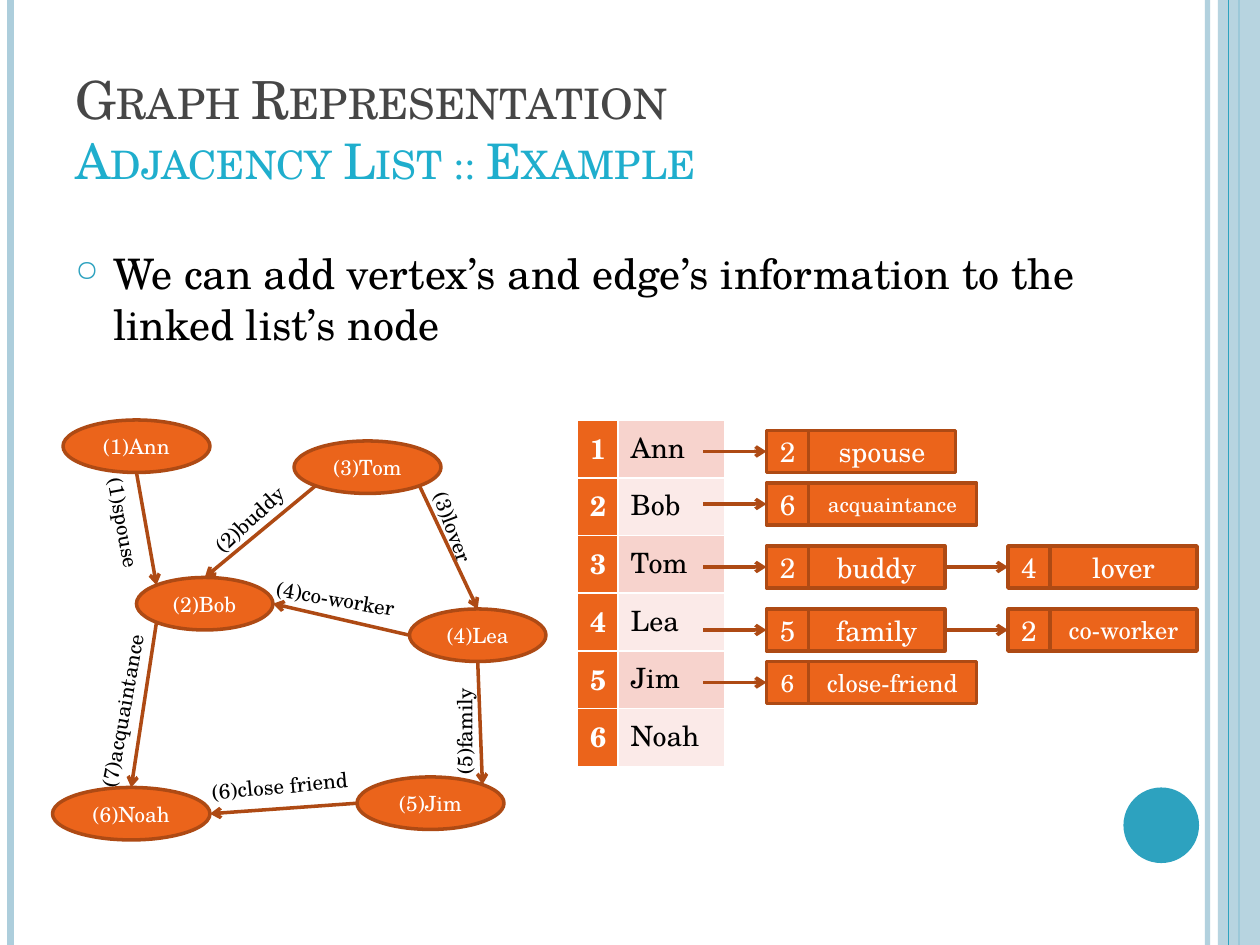
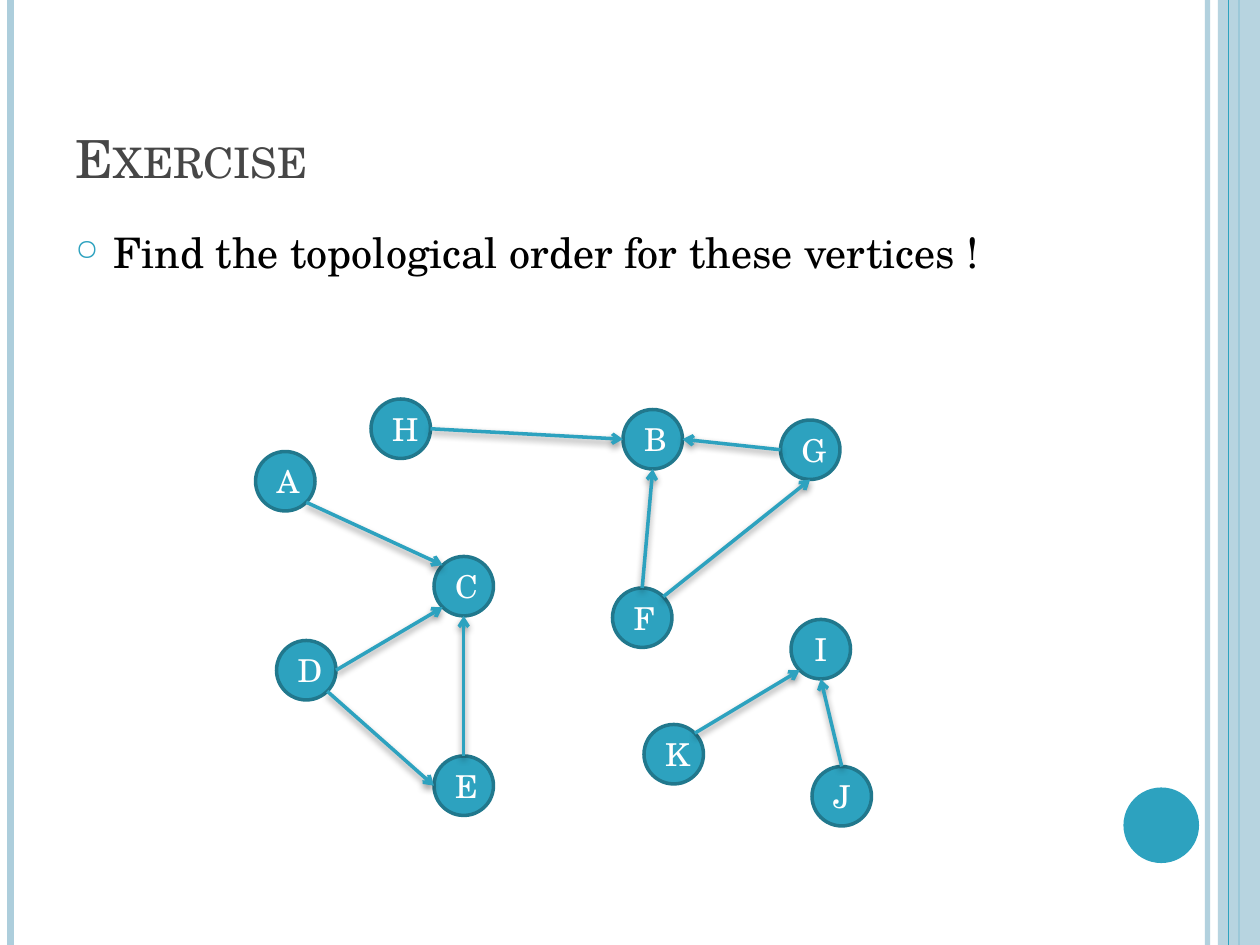
from math import cos, radians, sin

from lxml import etree
from pptx import Presentation
from pptx.dml.color import RGBColor
from pptx.enum.shapes import MSO_CONNECTOR, MSO_SHAPE
from pptx.enum.text import MSO_ANCHOR, MSO_AUTO_SIZE, PP_ALIGN
from pptx.oxml.ns import qn
from pptx.util import Pt

LINE = MSO_CONNECTOR.STRAIGHT
OVAL, RECT = MSO_SHAPE.OVAL, MSO_SHAPE.RECTANGLE
MIDDLE, BOTTOM = MSO_ANCHOR.MIDDLE, MSO_ANCHOR.BOTTOM
CENTER, LEFT = PP_ALIGN.CENTER, PP_ALIGN.LEFT
FIT, NO_FIT = MSO_AUTO_SIZE.SHAPE_TO_FIT_TEXT, MSO_AUTO_SIZE.NONE

FONT = "TeX Gyre Schola"
BLACK = RGBColor(0x00, 0x00, 0x00)
WHITE = RGBColor(0xFF, 0xFF, 0xFF)
GRAY = RGBColor(0x46, 0x46, 0x46)
CYAN = RGBColor(0x1F, 0xAE, 0xCD)
TEAL = RGBColor(0x2D, 0xA2, 0xBF)
DARK_TEAL = RGBColor(0x21, 0x78, 0x8D)
PALE_BLUE = RGBColor(0xAD, 0xCE, 0xDC)
ORANGE = RGBColor(0xEB, 0x64, 0x1B)
RUST = RGBColor(0xAE, 0x4A, 0x14)
PINK = RGBColor(0xF7, 0xD3, 0xCD)
PALE_PINK = RGBColor(0xFB, 0xEA, 0xE8)

SITE_ANGLES = {"r": 0, "br": 45, "b": 90, "bl": 135, "l": 180, "tl": 225, "t": 270, "tr": 315}


def sub(parent, tag, **attrs):
    return etree.SubElement(parent, qn(tag), **attrs)


def set_alpha(element, percent):
    color = next(element.iter(qn("a:srgbClr")))
    sub(color, "a:alpha", val=str(percent * 1000))


def site(box, name):
    x, y, w, h = box
    angle = radians(SITE_ANGLES[name])
    return x + w / 2 * (1 + cos(angle)), y + h / 2 * (1 + sin(angle))


class Deck:
    """Holds the presentation, its style and the current slide."""

    def __init__(self):
        self.prs = Presentation()
        self.prs.slide_width, self.prs.slide_height = Pt(720), Pt(540)

    def new_slide(self, *title_lines):
        self.s = self.prs.slides.add_slide(self.prs.slide_layouts[5])
        self.frame()
        self.title(*title_lines)

    def frame(self):
        edge = self.line((690, 0), (690, 540), PALE_BLUE, 3)
        set_alpha(edge.line._ln, 93)
        self.line((6, 0), (6, 540), PALE_BLUE, 4.5)
        self.line((708, 0), (708, 540), TEAL, 1.5)
        band = self.shape(RECT, (696, 0, 24, 540), PALE_BLUE)
        set_alpha(band.fill._xPr, 87)
        self.line((702, 0), (702, 540), TEAL, 0.75)
        self.shape(OVAL, (642, 450, 43.2, 43.2), TEAL)

    def style(self, r, size, color, bold=False):
        r.font.name, r.font.size, r.font.bold = FONT, Pt(size), bold
        r.font.color.rgb = color

    def title(self, *lines):
        sp = self.s.shapes.title
        sp.left, sp.top, sp.width, sp.height = Pt(36), Pt(21.6), Pt(588), Pt(90)
        tf = sp.text_frame
        tf.text = "\v".join(lines)
        tf.auto_size, tf.vertical_anchor = NO_FIT, BOTTOM
        p = tf.paragraphs[0]
        p.alignment = LEFT
        for r, (size, color) in zip(p.runs, ((30, GRAY), (28, CYAN))):
            self.style(r, size, color)
            r._r.get_or_add_rPr().set("cap", "small")

    def text(self, box, text, size):
        sp = self.s.shapes.add_textbox(*map(Pt, box))
        tf = sp.text_frame
        tf.text = text
        self.style(tf.paragraphs[0].runs[0], size, BLACK)
        return sp

    def bullet(self, box, text):
        tf = self.text(box, text, 24).text_frame
        tf.word_wrap = True
        p = tf.paragraphs[0]
        p.space_before = Pt(6)
        pPr = p._p.get_or_add_pPr()
        pPr.set("marL", str(Pt(21.6)))
        pPr.set("indent", str(-Pt(21.6)))
        sub(sub(pPr, "a:buClr"), "a:srgbClr", val=str(TEAL))
        sub(pPr, "a:buSzPct", val="70000")
        sub(pPr, "a:buChar", char="○")

    def label(self, x, y, w, angle, text):
        sp = self.text((x, y, w, 21.8), text, 12)
        sp.text_frame.word_wrap, sp.text_frame.auto_size = False, FIT
        sp.rotation = angle

    def shape(self, kind, box, fill, outline=None, text="", size=12):
        sp = self.s.shapes.add_shape(kind, *map(Pt, box))
        sp.shadow.inherit = False
        sp.fill.solid()
        sp.fill.fore_color.rgb = fill
        if outline is None:
            sp.line.fill.background()
        else:
            sp.line.color.rgb, sp.line.width = outline, Pt(2)
        if text:
            tf = sp.text_frame
            tf.text, tf.vertical_anchor = text, MIDDLE
            tf.paragraphs[0].alignment = CENTER
            self.style(tf.paragraphs[0].runs[0], size, WHITE)
        return sp

    def line(self, start, end, color, width, arrow=False, shadow=False):
        c = self.s.shapes.add_connector(LINE, *map(Pt, (*start, *end)))
        c.line.color.rgb, c.line.width = color, Pt(width)
        if arrow:
            sub(c.line._ln, "a:tailEnd", type="arrow")
        effects = sub(c._element.spPr, "a:effectLst")
        if shadow:
            outer = sub(effects, "a:outerShdw", blurRad=str(Pt(4)), dist=str(Pt(2)),
                        dir="5400000", rotWithShape="0")
            sub(outer, "a:srgbClr", val=str(BLACK))
            set_alpha(outer, 40)
        return c

    def graph(self, nodes, edges, fill, outline, arrow, size, shadow=False):
        for text, box in nodes.items():
            self.shape(OVAL, box, fill, outline, text, size)
        for start, start_site, end, end_site in edges:
            self.line(site(nodes[start], start_site), site(nodes[end], end_site),
                      arrow, 2, True, shadow)

    def chain(self, y, links):
        x = 402
        for number, text, width, size, number_size in links:
            self.line((x, y), (x + 36, y), RUST, 2, True)
            x += 36
            self.shape(RECT, (x, y - 12, 24, 24), ORANGE, RUST, number, number_size)
            x += 24
            self.shape(RECT, (x, y - 12, width, 24), ORANGE, RUST, text, size)
            x += width

    def vertex_table(self, names):
        box = map(Pt, (330, 240, 84, 33 * len(names)))
        table = self.s.shapes.add_table(len(names), 2, *box).table
        table.first_row = table.horz_banding = False
        table.columns[0].width, table.columns[1].width = Pt(23.2), Pt(60.8)
        for i, name in enumerate(names):
            self.cell(table.cell(i, 0), str(i + 1), ORANGE, WHITE, True)
            self.cell(table.cell(i, 1), name, PALE_PINK if i % 2 else PINK, BLACK, False)

    def cell(self, cell, text, fill, color, bold):
        cell.text = text
        self.style(cell.text_frame.paragraphs[0].runs[0], 16, color, bold)
        tcPr = cell._tc.get_or_add_tcPr()
        for side in ("a:lnL", "a:lnR", "a:lnT", "a:lnB"):
            ln = sub(tcPr, side, w=str(Pt(1)))
            sub(sub(ln, "a:solidFill"), "a:srgbClr", val=str(WHITE))
        cell.fill.solid()
        cell.fill.fore_color.rgb = fill


def adjacency_slide(deck):
    deck.new_slide("Graph Representation", "Adjacency List :: Example")
    deck.bullet((36, 138, 588, 60),
                "We can add vertex’s and edge’s information to the linked list’s node")
    people = {
        "(1)Ann": (36, 240, 84, 30), "(2)Bob": (78, 330, 78, 30),
        "(3)Tom": (168, 252, 84, 30), "(4)Lea": (234, 348, 78, 30),
        "(5)Jim": (204, 444, 84, 30), "(6)Noah": (30, 450, 90, 30),
    }
    relations = [
        ("(1)Ann", "b", "(2)Bob", "tl"), ("(3)Tom", "bl", "(2)Bob", "t"),
        ("(2)Bob", "bl", "(6)Noah", "t"), ("(4)Lea", "l", "(2)Bob", "r"),
        ("(3)Tom", "br", "(4)Lea", "t"), ("(5)Jim", "l", "(6)Noah", "r"),
        ("(4)Lea", "b", "(5)Jim", "tr"),
    ]
    deck.graph(people, relations, ORANGE, RUST, RUST, 12)
    for label in (
        (113.8, 437.8, 100, 354.8, "(6)close friend"),
        (34.6, 291.6, 73.4, 79.4, "(1)spouse"),
        (150.5, 331.9, 92.2, 9.7, "(4)co-worker"),
        (229, 293, 61.9, 69.5, "(3)lover"),
        (110.2, 283.7, 69.1, 317, "(2)buddy"),
        (231.1, 404.6, 68.4, 270, "(5)family"),
        (13.7, 389.5, 114.5, 280.2, "(7)acquaintance"),
    ):
        deck.label(*label)
    deck.vertex_table(["Ann", "Bob", "Tom", "Lea", "Jim", "Noah"])
    for y, links in {
        258: [("2", "spouse", 84, 16, 16)],
        288: [("6", "acquaintance", 96, 12, 16)],
        324: [("2", "buddy", 78, 16, 16), ("4", "lover", 84, 16, 16)],
        360: [("5", "family", 78, 16, 16), ("2", "co-worker", 84, 14, 16)],
        390: [("6", "close-friend", 96, 14, 14)],
    }.items():
        deck.chain(y, links)


def exercise_slide(deck):
    deck.new_slide("Exercise")
    deck.bullet((36, 126, 588, 72), "Find the topological order for these vertices !")
    corners = {
        "A": (146, 258), "B": (356, 234), "C": (248, 318), "D": (158, 366),
        "E": (248, 432), "F": (350, 336), "G": (446, 240), "H": (212, 228),
        "I": (452, 354), "J": (464, 438), "K": (368, 414),
    }
    vertices = {name: (x, y, 34, 34) for name, (x, y) in corners.items()}
    edges = [
        ("D", "br", "E", "l"), ("K", "tr", "I", "bl"), ("A", "br", "C", "tl"),
        ("D", "r", "C", "bl"), ("E", "t", "C", "b"), ("H", "r", "B", "l"),
        ("G", "l", "B", "r"), ("F", "t", "B", "b"), ("F", "tr", "G", "b"),
        ("J", "t", "I", "b"),
    ]
    deck.graph(vertices, edges, TEAL, DARK_TEAL, TEAL, 18, shadow=True)


def main():
    deck = Deck()
    adjacency_slide(deck)
    exercise_slide(deck)
    deck.prs.save("out.pptx")


if __name__ == "__main__":
    main()
